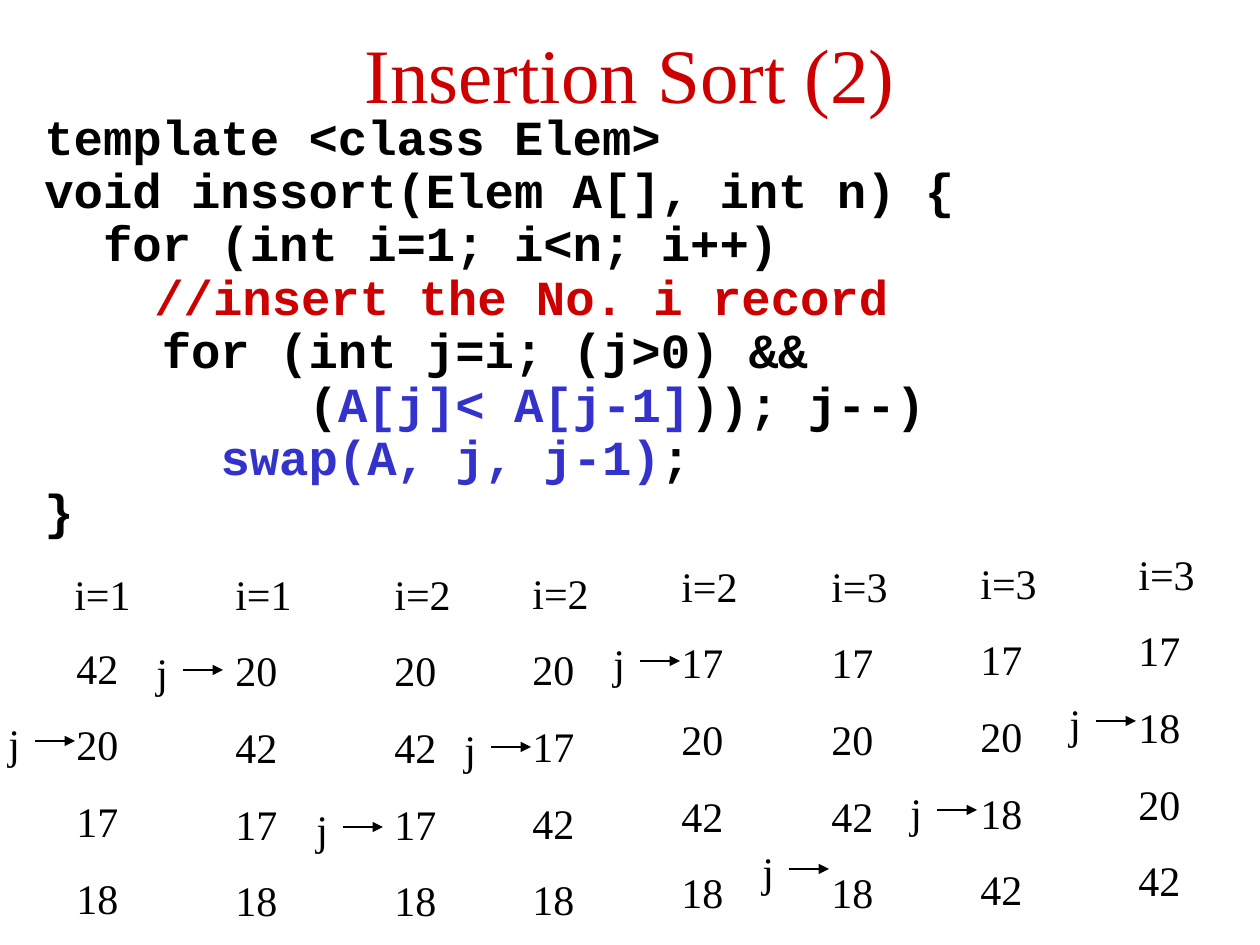
import pptx
import pptx.util
import pptx.dml.color
import pptx.enum.shapes
import pptx.enum.text
import pptx.oxml.ns
import lxml.etree

EMU_PER_PX = 914400 / 126
THEME = {
    "black": "000000", "red": "CC0000", "blue": "3333CC",
    "serif": "Times New Roman", "mono": "Courier New",
    "title": 44, "code": 28, "label": 24, "line": 0.75,
}
qn = pptx.oxml.ns.qn


def emu(px):
    return pptx.util.Emu(round(px * EMU_PER_PX))


def add_text(box, lines, font, size, wrap=True, bold=False, **formats):
    """Add a text box; each line is a list of (text, colour name) runs."""
    shape = slide.shapes.add_textbox(*map(emu, box))
    frame = shape.text_frame
    frame.word_wrap = wrap
    for index, runs in enumerate(lines):
        paragraph = frame.paragraphs[0] if index == 0 else frame.add_paragraph()
        for name, value in formats.items():
            if index or name != "space_before":
                setattr(paragraph, name, value)
        for text, color in runs:
            run = paragraph.add_run()
            run.text = text
            values = {"name": THEME[font], "size": pptx.util.Pt(THEME[size]), "bold": bold}
            for name, value in values.items():
                setattr(run.font, name, value)
            run.font.color.rgb = pptx.dml.color.RGBColor.from_string(THEME[color])
    return shape


presentation = pptx.Presentation()
presentation.slide_width, presentation.slide_height = emu(1260), emu(945)
slide = presentation.slides.add_slide(presentation.slide_layouts[6])

# Title
title = add_text((63, 10, 1134, 126), [[("Insertion Sort (2)", "red")]], "serif", "title",
                 alignment=pptx.enum.text.PP_ALIGN.CENTER)
title.text_frame.vertical_anchor = pptx.enum.text.MSO_ANCHOR.MIDDLE

# Code listing
code_lines = [
    [("template <class Elem>", "black")],
    [("void inssort(Elem A[], int n) {", "black")],
    [("  for (int i=1; i<n; i++)", "black")],
    [("\t\t", "black"), ("//insert the No. i record", "red")],
    [("    for (int j=i; (j>0) &&", "black")],
    [("         (", "black"), ("A[j]< A[j-1]", "blue"), (")); j--)", "black")],
    [("      ", "black"), ("swap(A, j, j-1)", "blue"), (";", "black")],
    [("}", "black")],
]
code = add_text((32, 116, 1166, 735), code_lines, "mono", "code", bold=True,
                line_spacing=0.7, space_before=pptx.util.Pt(7))

# Hanging indent and tab stops for the code
for paragraph in code.text_frame.paragraphs:
    properties = paragraph._p.get_or_add_pPr()
    properties.set("marL", str(emu(47)))
    properties.set("indent", str(emu(-47)))
    tab_list = lxml.etree.SubElement(properties, qn("a:tabLst"))
    for position in (0, 126):
        lxml.etree.SubElement(tab_list, qn("a:tab"), pos=str(emu(position)), algn="l")

# Array states: left, top, entries from top to bottom
states = [
    (62, 562, ["i=1"]),
    (64, 636, ["42", "20", "17", "18"]),
    (223, 562, ["i=1", "20", "42", "17", "18"]),
    (382, 562, ["i=2", "20", "42", "17", "18"]),
    (520, 561, ["i=2", "20", "17", "42", "18"]),
    (669, 554, ["i=2", "17", "20", "42", "18"]),
    (819, 554, ["i=3", "17", "20", "42", "18"]),
    (968, 551, ["i=3", "17", "20", "18", "42"]),
    (1126, 542, ["i=3", "17", "18", "20", "42"]),
]
for left, top, entries in states:
    height = 63 + 77 * (len(entries) - 1)
    add_text((left, top, 89, height), [[(entry, "black")] for entry in entries],
             "serif", "label", space_before=pptx.util.Pt(15))

# Arrows marking position j: start of each arrow
pointers = [(35, 741), (183, 670), (343, 827), (491, 747),
            (640, 661), (789, 869), (937, 810), (1096, 721)]
for x, y in pointers:
    arrow = slide.shapes.add_connector(pptx.enum.shapes.MSO_CONNECTOR.STRAIGHT,
                                       emu(x), emu(y), emu(x + 40), emu(y))
    arrow.line.width = pptx.util.Pt(THEME["line"])
    arrow.line.color.rgb = pptx.dml.color.RGBColor.from_string(THEME["black"])
    lxml.etree.SubElement(arrow.line._get_or_add_ln(), qn("a:tailEnd"), type="triangle")
    lxml.etree.SubElement(arrow._element.spPr, qn("a:effectLst"))
    add_text((x - 39, y - 30, 47, 63), [[("j", "black")]], "serif", "label", wrap=False)

presentation.save("out.pptx")
